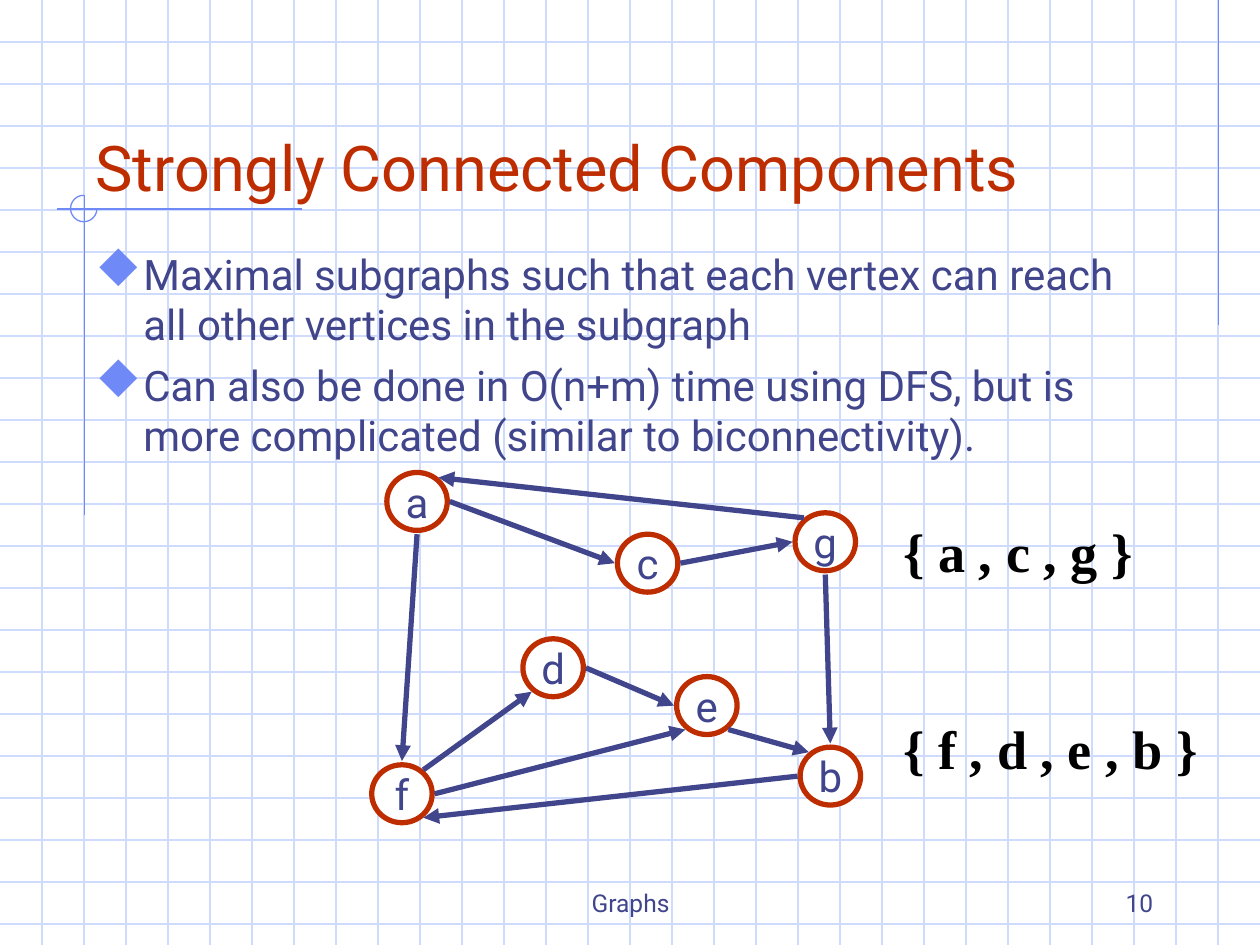
from lxml.etree import SubElement
from pptx import Presentation
from pptx.dml.color import RGBColor
from pptx.enum.shapes import MSO_CONNECTOR, MSO_SHAPE
from pptx.enum.text import MSO_ANCHOR, MSO_AUTO_SIZE, PP_ALIGN
from pptx.oxml.ns import qn
from pptx.util import Inches, Pt

WIDE, HIGH = 10, 7.5
STEP = 1 / 3
PALE, BLUE, INK, RED = "CFDBFD", "6F89F7", "40458C", "BE2D00"
BLACK, WHITE = "000000", "FFFFFF"
SANS, SERIF = "Roboto", "Times New Roman"
TOP, MID, LOW = MSO_ANCHOR.TOP, MSO_ANCHOR.MIDDLE, MSO_ANCHOR.BOTTOM
LEFT, CENTER, RIGHT = PP_ALIGN.LEFT, PP_ALIGN.CENTER, PP_ALIGN.RIGHT

TITLE = "Strongly Connected Components"
POINTS = [
    "Maximal subgraphs such that each vertex can reach all other vertices in the subgraph",
    "Can also be done in O(n+m) time using DFS, but is more complicated (similar to biconnectivity).",
]
SETS = [
    ("{ a , c , g }", (7.17, 4.11, 1.84, 0.52)),
    ("{ f , d , e , b }", (7.17, 5.68, 2.36, 0.52)),
]
FOOT = [
    ("Graphs", (3.42, 6.83, 3.17, 0.5), CENTER),
    ("10", (7.17, 6.83, 2.08, 0.5), RIGHT),
]
RULES = [
    ((9.67, 0), (9.67, 2.58)),
    ((2.4, 1.66), (0.45, 1.66)),
    ((0.67, 1.55), (0.67, 4.09)),
]
NODES = {
    "a": (3.31, 3.98), "d": (4.39, 5.3), "c": (5.14, 4.47), "b": (6.59, 6.16),
    "e": (5.61, 5.6), "f": (3.19, 6.3), "g": (6.55, 4.3),
}
SIZE = (0.48, 0.46)
SIDE, SLANT = 0.26, (0.17, 0.19)
PORTS = {
    "n": (0, -SIDE), "s": (0, SIDE), "w": (-SIDE, 0), "e": (SIDE, 0),
    "nw": (-SLANT[0], -SLANT[1]), "ne": (SLANT[0], -SLANT[1]),
    "sw": (-SLANT[0], SLANT[1]), "se": SLANT,
}
EDGES = [
    ("a", "s", "f", "n"), ("a", "e", "c", "w"), ("g", "nw", "a", "ne"),
    ("c", "e", "g", "w"), ("g", "s", "b", "n"), ("d", "e", "e", "w"),
    ("e", "se", "b", "nw"), ("f", "ne", "d", "sw"), ("f", "e", "e", "sw"),
    ("b", "w", "f", "se"),
]


def color(code):
    return RGBColor.from_string(code)


def draw_line(slide, start, end, code, width=0.75, arrow=False):
    line = slide.shapes.add_connector(
        MSO_CONNECTOR.STRAIGHT, *map(Inches, (*start, *end)))
    line.line.color.rgb = color(code)
    line.line.width = Pt(width)
    props = line._element.spPr
    if arrow:
        SubElement(props.find(qn("a:ln")), qn("a:tailEnd"), type="triangle")
    SubElement(props, qn("a:effectLst"))


def add_bullet(para):
    props = para._p.get_or_add_pPr()
    props.set("marL", str(Inches(0.38)))
    props.set("indent", str(-Inches(0.38)))
    tint = SubElement(props, qn("a:buClr"))
    SubElement(tint, qn("a:srgbClr"), val=BLUE)
    SubElement(props, qn("a:buSzPct"), val="110000")
    SubElement(props, qn("a:buFont"), typeface="Wingdings",
               pitchFamily="2", charset="2")
    SubElement(props, qn("a:buChar"), char="u")


def fill_text(shape, lines, size, code, font=SANS, align=LEFT, anchor=TOP,
              wrap=True, pad=True, bold=False, bullet=False):
    frame = shape.text_frame
    frame.word_wrap = wrap
    frame.vertical_anchor = anchor
    frame.margin_left = frame.margin_right = Inches(0.1 if pad else 0)
    frame.margin_top = frame.margin_bottom = Inches(0.05 if pad else 0)
    if not pad:
        frame.auto_size = MSO_AUTO_SIZE.SHAPE_TO_FIT_TEXT
    for num, text in enumerate(lines):
        para = frame.add_paragraph() if num else frame.paragraphs[0]
        para.alignment = align
        if num:
            para.space_before = Pt(6)
        if bullet:
            add_bullet(para)
        run = para.add_run()
        run.text = text
        run.font.name = font
        run.font.size = Pt(size)
        run.font.bold = bold
        run.font.color.rgb = color(code)


def add_text(slide, area, lines, size, code, **style):
    box = slide.shapes.add_textbox(*map(Inches, area))
    fill_text(box, lines, size, code, **style)


def draw_grid(slide):
    for row in range(1, 23):
        draw_line(slide, (0, row * STEP), (WIDE, row * STEP), PALE)
    for col in range(1, 30):
        draw_line(slide, (col * STEP, 0), (col * STEP, HIGH), PALE)
    for start, end in RULES:
        draw_line(slide, start, end, BLUE)
    arc = slide.shapes.add_shape(
        MSO_SHAPE.ARC, *map(Inches, (0.56, 1.55, 0.21, 0.21)))
    arc.adjustments[0], arc.adjustments[1] = 0, 162
    arc.shadow.inherit = False
    arc.fill.background()
    arc.line.color.rgb = color(BLUE)
    arc.line.width = Pt(0.75)


def draw_graph(slide):
    wide, high = SIZE
    for name, (x, y) in NODES.items():
        area = (x - wide / 2, y - high / 2, wide, high)
        node = slide.shapes.add_shape(MSO_SHAPE.OVAL, *map(Inches, area))
        node.shadow.inherit = False
        node.fill.solid()
        node.fill.fore_color.rgb = color(WHITE)
        node.line.color.rgb = color(RED)
        node.line.width = Pt(3)
        fill_text(node, [name], 24, INK, align=CENTER, anchor=MID, wrap=False)

    def port(name, side):
        return [a + b for a, b in zip(NODES[name], PORTS[side])]

    for tail, out, head, into in EDGES:
        draw_line(slide, port(tail, out), port(head, into), INK, 3, True)


def main():
    deck = Presentation()
    deck.slide_width, deck.slide_height = Inches(WIDE), Inches(HIGH)
    slide = deck.slides.add_slide(deck.slide_layouts[6])
    draw_grid(slide)
    add_text(slide, (0.66, 1.92, 8.51, 2.63), POINTS, 24, INK, bullet=True)
    add_text(slide, (0.66, 0.17, 8.09, 1.5), [TITLE], 36, RED, anchor=LOW)
    for text, area in SETS:
        add_text(slide, area, [text], 31, BLACK, font=SERIF, bold=True,
                 wrap=False, pad=False)
    draw_graph(slide)
    for text, area, align in FOOT:
        add_text(slide, area, [text], 14, INK, align=align, anchor=LOW)
    deck.save("out.pptx")


if __name__ == "__main__":
    main()
